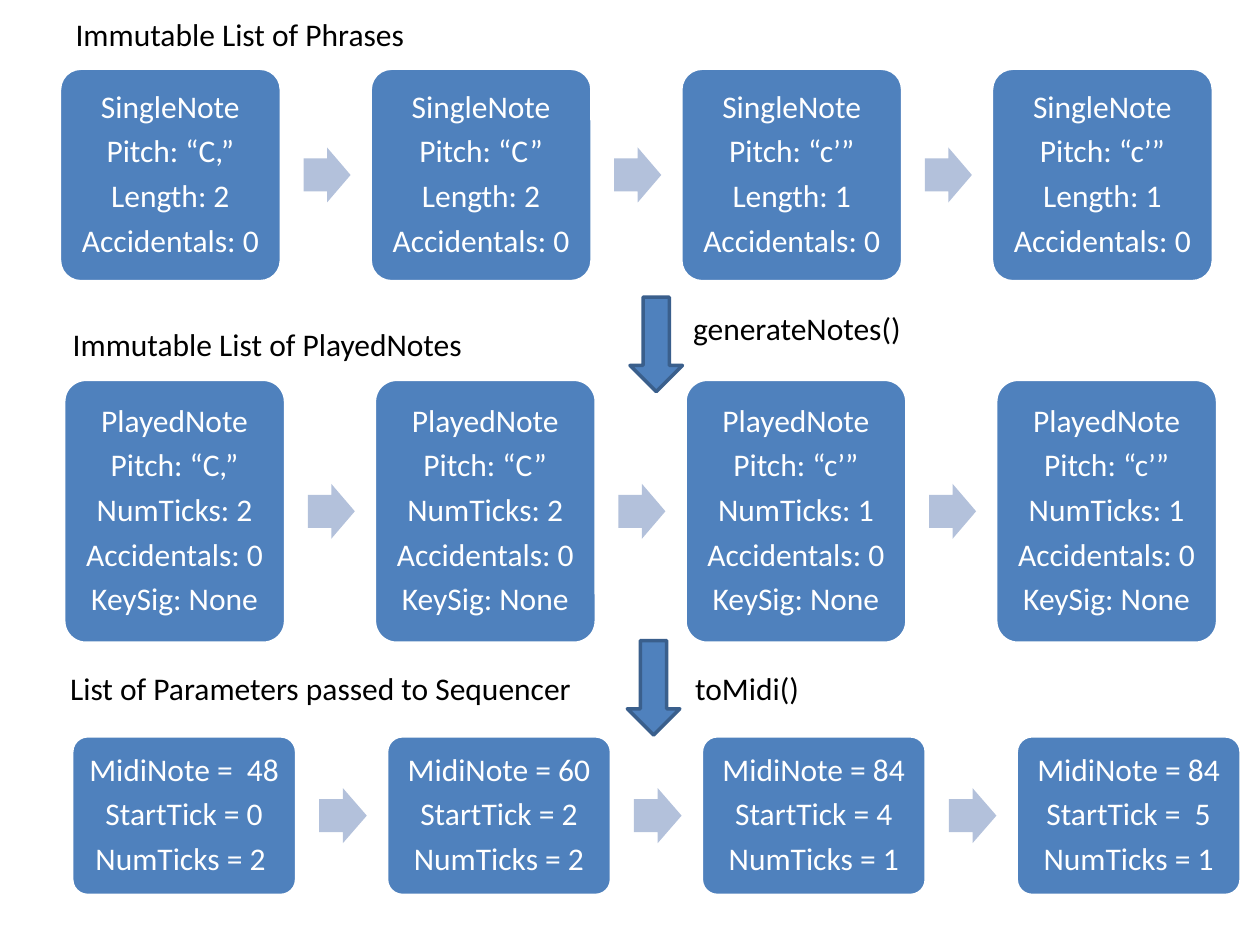
from pptx import Presentation
from pptx.dml.color import RGBColor
from pptx.enum.shapes import MSO_SHAPE as Geo
from pptx.enum.text import MSO_ANCHOR as Anchor, PP_ALIGN as Align
from pptx.util import Pt

BLUE = RGBColor(0x4F, 0x81, 0xBD)
EDGE = RGBColor(0x3A, 0x5F, 0x8C)
PALE = RGBColor(0xB3, 0xC1, 0xDB)
WHITE = RGBColor(0xFF, 0xFF, 0xFF)
BLACK = RGBColor(0, 0, 0)

prs = Presentation()
prs.slide_width, prs.slide_height = Pt(720), Pt(540)
slide = prs.slides.add_slide(prs.slide_layouts[5])


def add_shape(geo, left, top, width, height, fill, line=None):
    shape = slide.shapes.add_shape(geo, Pt(left), Pt(top), Pt(width), Pt(height))
    shape.shadow.inherit = False
    shape.fill.solid()
    shape.fill.fore_color.rgb = fill
    if line is None:
        shape.line.fill.background()
    else:
        shape.line.color.rgb = line
        shape.line.width = Pt(2)
    return shape


def set_text(shape, lines, color, align):
    frame = shape.text_frame
    frame.word_wrap = True
    frame.text = "\n".join(lines)
    for para in frame.paragraphs:
        para.alignment = align
        para.font.name = "Calibri"
        para.font.size = Pt(18)
        para.font.color.rgb = color
    return frame


# Title and row labels
title = slide.shapes.title
title.left, title.top, title.width, title.height = Pt(36), Pt(5), Pt(324), Pt(29)
frame = set_text(title, ["Immutable List of Phrases"], BLACK, Align.LEFT)
frame.vertical_anchor = Anchor.TOP

labels = [
    ("Immutable List of PlayedNotes", 34.5, 182.3, 324),
    ("generateNotes()", 389, 172.8, 210),
    ("List of Parameters passed to Sequencer", 33, 378.7, 324),
    ("toMidi()", 390.2, 378.7, 210),
]
for text, left, top, width in labels:
    box = slide.shapes.add_textbox(Pt(left), Pt(top), Pt(width), Pt(29))
    set_text(box, [text], BLACK, Align.LEFT)

# Card texts of each row
pitches = [("“C,”", 2), ("“C”", 2), ("“c’”", 1), ("“c’”", 1)]
phrases = [
    ["SingleNote", f"Pitch: {pitch}", f"Length: {length}", "Accidentals: 0"]
    for pitch, length in pitches
]
played = [
    ["PlayedNote", f"Pitch: {pitch}", f"NumTicks: {ticks}",
     "Accidentals: 0", "KeySig: None"]
    for pitch, ticks in pitches
]
midi = [
    ["MidiNote =  48", "StartTick = 0", "NumTicks = 2 "],
    ["MidiNote = 60", "StartTick = 2", "NumTicks = 2"],
    ["MidiNote = 84", "StartTick = 4", "NumTicks = 1"],
    ["MidiNote = 84", "StartTick =  5", "NumTicks = 1"],
]

# Rows of cards: left, top, card width, card height, texts
rows = [
    (34, 39, 126.8, 122, phrases),
    (36.4, 216.8, 126.8, 150.8, played),
    (41, 420.5, 128.5, 91.2, midi),
]
HEAD = 31.4
for left, top, width, height, cards in rows:
    for col, lines in enumerate(cards):
        x = left + col * 1.4 * width
        card = add_shape(Geo.ROUNDED_RECTANGLE, x, top, width, height, BLUE, WHITE)
        card.adjustments[0] = 0.1
        frame = set_text(card, lines, WHITE, Align.CENTER)
        frame.vertical_anchor = Anchor.MIDDLE
        frame.margin_left = frame.margin_right = Pt(5)
        frame.margin_top = frame.margin_bottom = Pt(5)
        for para in frame.paragraphs:
            para.line_spacing = 0.9
            para.space_after = Pt(6)
        if col < len(cards) - 1:
            arrow = add_shape(Geo.RIGHT_ARROW, x + 1.1 * width,
                              top + (height - HEAD) / 2, 0.212 * width, HEAD, PALE)
            arrow.adjustments[0] = 0.6

# Steps between the rows
for left, top in [(360, 169.8), (358.5, 366)]:
    add_shape(Geo.DOWN_ARROW, left, top, 30, 54, BLUE, EDGE)

prs.save("out.pptx")
